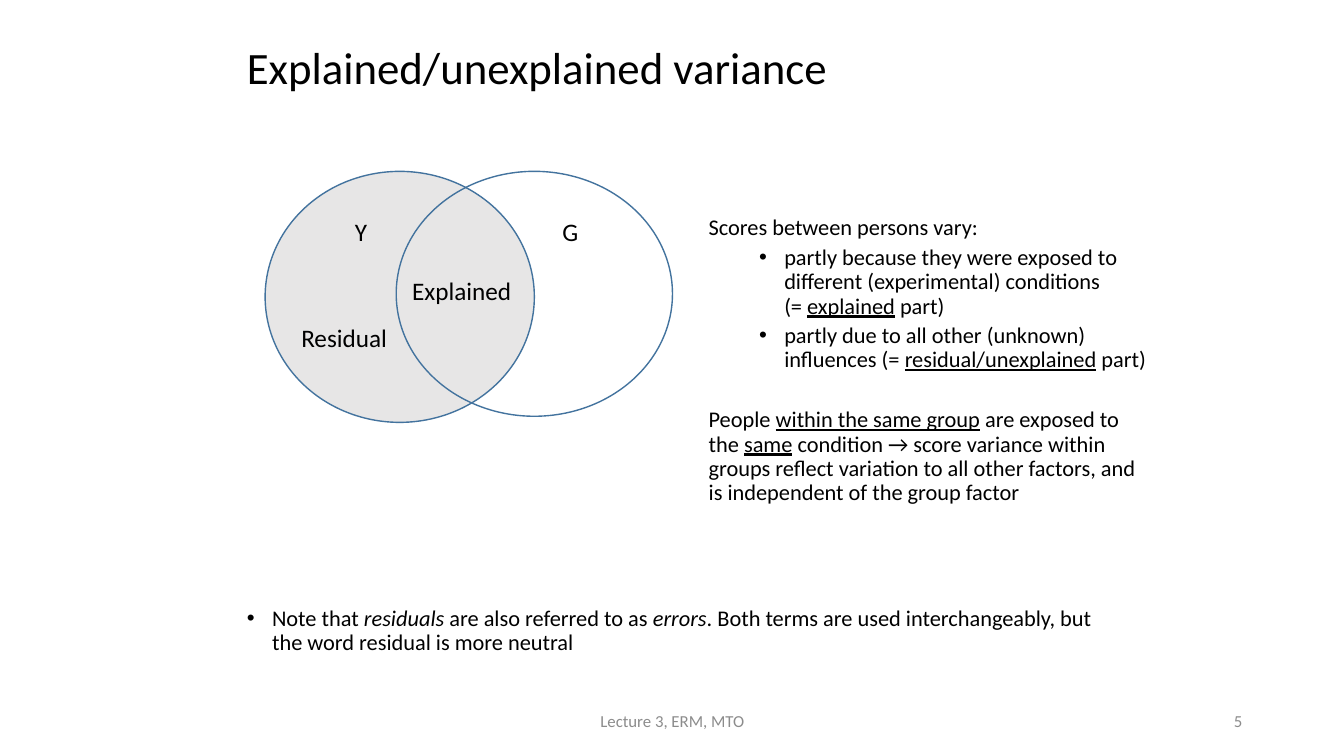
import pptx
import pptx.dml.color
import pptx.enum.shapes
import pptx.enum.text
import pptx.oxml
import pptx.oxml.ns
import pptx.util

ALIGN = pptx.enum.text.PP_ALIGN
ANCHOR = pptx.enum.text.MSO_ANCHOR
FONT = "Calibri"
BLACK, GREY, PALE, BLUE = "000000", "8C8C8C", "E7E6E6", "43739E"
PROSE = {"line_spacing": 0.9, "space_before": pptx.util.Pt(4)}
UNDERLINE = {"underline": True}
ITALIC = {"italic": True}


def cells(count):
    """Length of a number of grid cells, twelve to the inch."""
    return pptx.util.Inches(count / 12)


def color(hex_string):
    return pptx.dml.color.RGBColor.from_string(hex_string)


def apply(target, formats):
    for name, value in formats.items():
        setattr(target, name, value)


def add_box(slide, place, **frame_formats):
    """Add a text box at (column, row, columns, rows) and return its frame."""
    frame = slide.shapes.add_textbox(*map(cells, place)).text_frame
    apply(frame, {"word_wrap": True, **frame_formats})
    return frame


def write(paragraph, pieces, size, ink=BLACK, **formats):
    """Fill a paragraph with pieces: plain strings or (string, font formats)."""
    apply(paragraph, formats)
    for piece in pieces:
        words, emphasis = (piece, {}) if isinstance(piece, str) else piece
        for number, line in enumerate(words.split("\n")):
            if number:
                paragraph.add_line_break()
            run = paragraph.add_run()
            run.text = line
            apply(run.font, {"name": FONT, "size": pptx.util.Pt(size), **emphasis})
            run.font.color.rgb = color(ink)


def add_bullet(paragraph, indent):
    properties = paragraph._p.get_or_add_pPr()
    properties.set("marL", str(cells(indent)))
    properties.set("indent", str(cells(-3)))
    namespace = pptx.oxml.ns.nsdecls("a")
    for xml in (f'<a:buFont {namespace} typeface="Arial"/>',
                f'<a:buChar {namespace} char="•"/>'):
        properties.append(pptx.oxml.parse_xml(xml))


def add_label(slide, place, words, size, ink=BLACK, align=ALIGN.LEFT,
              anchor=ANCHOR.TOP, **formats):
    frame = add_box(slide, place, vertical_anchor=anchor)
    write(frame.paragraphs[0], [words], size, ink, alignment=align, **formats)


def add_circle(slide, place, fill=None):
    circle = slide.shapes.add_shape(
        pptx.enum.shapes.MSO_SHAPE.OVAL, *map(cells, place))
    circle.shadow.inherit = False
    if fill:
        circle.fill.solid()
        circle.fill.fore_color.rgb = color(fill)
    else:
        circle.fill.background()
    circle.line.color.rgb = color(BLUE)
    circle.line.width = pptx.util.Pt(1)


def add_venn(slide):
    add_circle(slide, (31.56, 20.4, 32.04, 29.88), PALE)
    add_circle(slide, (47.16, 20.4, 32.88, 29.16))
    for words, column, row, width in (
            ("G", 65.76, 25.2, 12.12),
            ("Y", 41.04, 25.2, 12.12),
            ("Residual", 34.68, 37.8, 15.24),
            ("Explained", 47.88, 32.16, 15.24)):
        add_label(slide, (column, row, width, 4.8), words, 18)


def add_explanation(slide):
    frame = add_box(slide, (83.16, 25.2, 55.32, 57.12))
    write(frame.paragraphs[0], ["Scores between persons vary:"], 16, **PROSE)
    for pieces in (
            ["partly because they were exposed to different (experimental) "
             "conditions \n(= ", ("explained", UNDERLINE), " part)"],
            ["partly due to all other (unknown) influences (= ",
             ("residual/unexplained", UNDERLINE), " part)"]):
        reason = frame.add_paragraph()
        write(reason, pieces, 16, level=1, **PROSE)
        add_bullet(reason, 9)
    conclusion = ["People ", ("within the same group", UNDERLINE),
                  " are exposed to the ", ("same", UNDERLINE),
                  " condition → score variance within groups reflect variation "
                  "to all other factors, and is independent of the group factor"]
    write(frame.add_paragraph(), conclusion, 16,
          **{**PROSE, "space_before": pptx.util.Pt(25.6)})


def add_note(slide):
    note = add_box(slide, (28.2, 71.7, 103.44, 7.2)).paragraphs[0]
    write(note, ["Note that ", ("residuals", ITALIC),
                 " are also referred to as ", ("errors", ITALIC),
                 ". Both terms are used interchangeably, but the word "
                 "residual is more neutral"], 16, **PROSE)
    add_bullet(note, 3)


def main():
    deck = pptx.Presentation()
    deck.slide_width = pptx.util.Inches(13.33)
    deck.slide_height = pptx.util.Inches(7.5)
    slide = deck.slides.add_slide(deck.slide_layouts[6])
    add_label(slide, (28.2, 4.8, 103.44, 7.08), "Explained/unexplained variance",
              32, anchor=ANCHOR.MIDDLE, line_spacing=0.9)
    add_explanation(slide)
    add_label(slide, (53.04, 83.4, 54, 4.8), "Lecture 3, ERM, MTO", 12, GREY,
              ALIGN.CENTER, ANCHOR.MIDDLE)
    add_label(slide, (113.04, 83.4, 36, 4.8), "5", 12, GREY,
              ALIGN.RIGHT, ANCHOR.MIDDLE)
    add_venn(slide)
    add_note(slide)
    deck.save("out.pptx")


if __name__ == "__main__":
    main()
